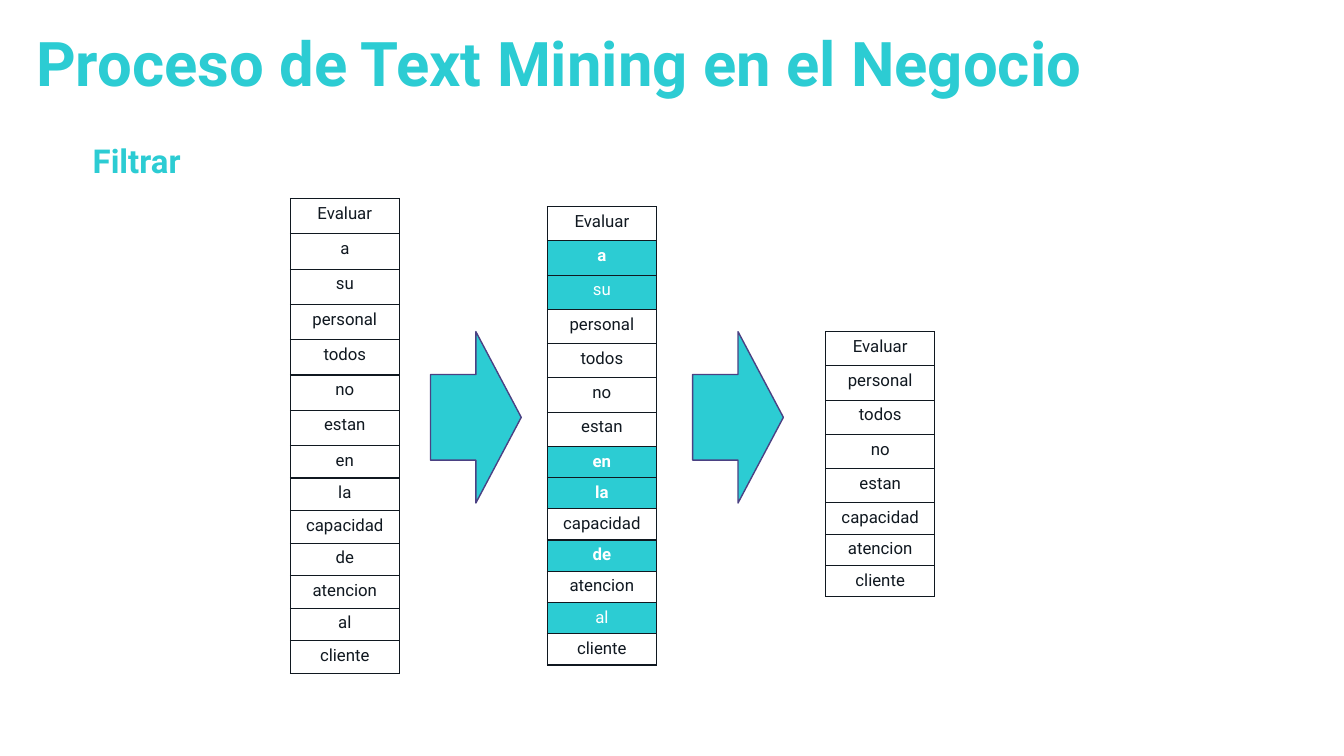
from pptx import Presentation
from pptx import util as u
from pptx.dml.color import RGBColor
from pptx.enum import shapes, text
from pptx.oxml import parse_xml
from pptx.oxml.ns import nsdecls

PX = 9144  # EMU per px, 100 px to the inch
FONT = "Roboto"
COLORS = {"teal": "2CCCD3", "ink": "101820", "white": "FFFFFF", "violet": "4B4183"}

WORDS = ["Evaluar", "a", "su", "personal", "todos", "no", "estan", "en", "la",
         "capacidad", "de", "atencion", "al", "cliente"]
STOP_WORDS = {"a", "su", "en", "la", "de", "al"}
PLAIN_STOP_WORDS = {"su", "al"}


def color(name):
    return RGBColor.from_string(COLORS[name])


def box(*lengths):
    return [u.Emu(length * PX) for length in lengths]


def apply(target, values):
    for key, value in values.items():
        setattr(target, key, value)


def write(paragraph, wording, size, tint, bold):
    run = paragraph.add_run()
    run.text = wording
    apply(run.font, {"name": FONT, "size": u.Pt(size), "bold": bold})
    run.font.color.rgb = color(tint)


def add_heading(slide, wording, place, size, frame_format, paragraph_format):
    frame = slide.shapes.add_textbox(*box(*place)).text_frame
    apply(frame, {"word_wrap": False, **frame_format})
    apply(frame.paragraphs[0], paragraph_format)
    write(frame.paragraphs[0], wording, size, "teal", True)


def add_borders(cell):
    properties = cell._tc.get_or_add_tcPr()
    for position, side in enumerate(("lnL", "lnR", "lnT", "lnB")):
        properties.insert(position, parse_xml(
            f'<a:{side} {nsdecls("a")} w="12700"><a:solidFill>'
            f'<a:srgbClr val="{COLORS["ink"]}"/></a:solidFill></a:{side}>'))


def add_word_list(slide, words, place, tall_rows, tall_height, marked=()):
    """Tall rows come first; the others share the remaining height."""
    height = place[3]
    short_height = (height - tall_rows * tall_height) / (len(words) - tall_rows)
    table = slide.shapes.add_table(len(words), 1, *box(*place)).table
    apply(table, {"first_row": False, "horz_banding": False})
    for index, word in enumerate(words):
        row_height = tall_height if index < tall_rows else short_height
        table.rows[index].height = u.Emu(round(row_height * PX))
        cell = table.cell(index, 0)
        is_marked = word in marked
        if is_marked:
            cell.fill.solid()
            cell.fill.fore_color.rgb = color("teal")
        else:
            cell.fill.background()
        add_borders(cell)
        paragraph = cell.text_frame.paragraphs[0]
        paragraph.alignment = text.PP_ALIGN.CENTER
        write(paragraph, word, 12, "white" if is_marked else "ink",
              is_marked and word not in PLAIN_STOP_WORDS)


def add_step_arrow(slide, left):
    arrow = slide.shapes.add_shape(shapes.MSO_SHAPE.DOWN_ARROW,
                                   *box(left, 369, 170, 90))
    arrow.rotation = 270
    arrow.shadow.inherit = False
    arrow.fill.solid()
    arrow.fill.fore_color.rgb = color("teal")
    arrow.line.color.rgb = color("violet")
    arrow.line.width = u.Pt(1)


def main():
    deck = Presentation()
    apply(deck, {"slide_width": u.Emu(1333 * PX), "slide_height": u.Emu(750 * PX)})
    slide = deck.slides.add_slide(deck.slide_layouts[6])

    # Marked words, then the words that remain
    add_word_list(slide, WORDS, (543, 205, 108, 455), 7, 34, STOP_WORDS)
    add_step_arrow(slide, 647)
    kept_words = [word for word in WORDS if word not in STOP_WORDS]
    add_word_list(slide, kept_words, (819, 329, 108, 263), 5, 34)

    # All words
    add_word_list(slide, WORDS, (288, 197, 108, 471), 7, 35)
    add_step_arrow(slide, 387)

    # Headings
    side, edge = box(20, 16)
    add_heading(slide, "Filtrar", (72, 128, 134, 98), 23.5,
                {"margin_left": side, "margin_right": side,
                 "margin_top": edge, "margin_bottom": edge},
                {"alignment": text.PP_ALIGN.LEFT, "line_spacing": 0.9,
                 "space_after": u.Pt(5.9)})
    add_heading(slide, "Proceso de Text Mining en el Negocio",
                (26, 20, 1115, 84), 44,
                {"auto_size": text.MSO_AUTO_SIZE.SHAPE_TO_FIT_TEXT}, {})

    deck.save("out.pptx")


if __name__ == "__main__":
    main()
